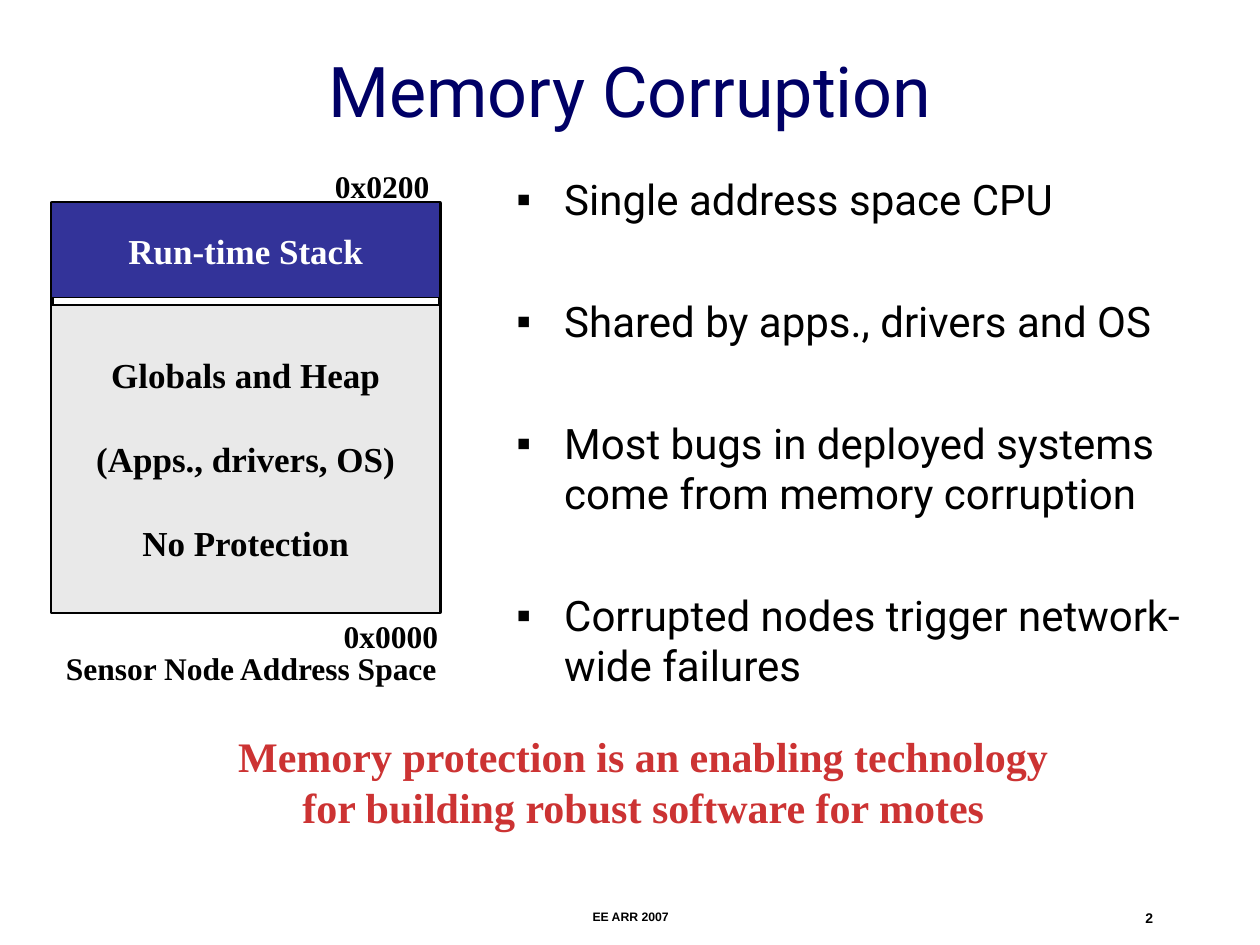
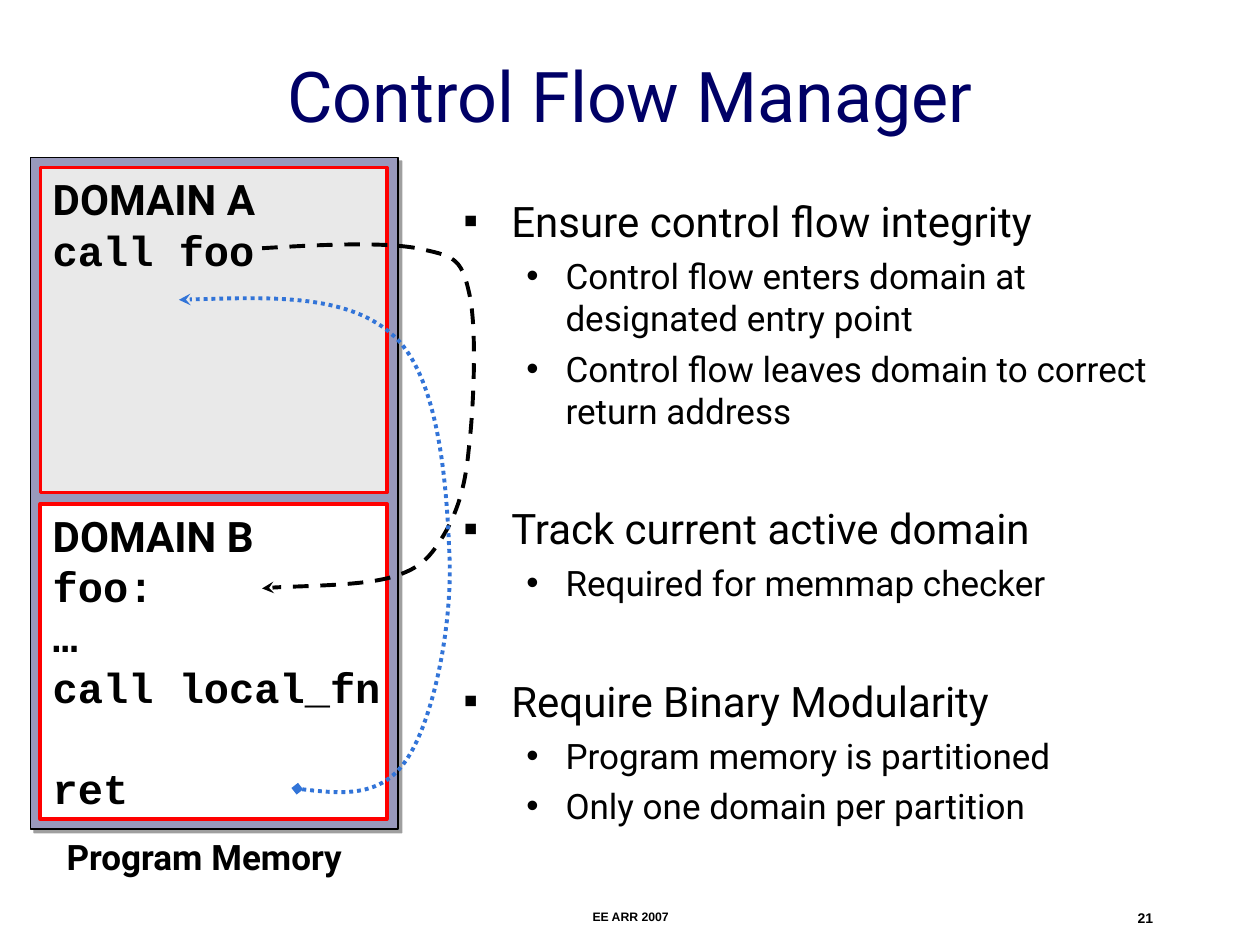
from dataclasses import dataclass

from pptx import Presentation
from pptx.dml.color import RGBColor
from pptx.enum import dml, shapes, text
from pptx.oxml import parse_xml
from pptx.oxml.ns import nsdecls, qn
from pptx import util as u

PX = 9144
LEFT, MID, RIGHT = text.PP_ALIGN.LEFT, text.PP_ALIGN.CENTER, text.PP_ALIGN.RIGHT


@dataclass(frozen=True)
class Type:
    font: str
    size: int
    color: str = "000000"
    bold: bool = False


class Theme:
    black, white, gray = "000000", "FFFFFF", "E9E9E9"
    blue, frame, shade = "333399", "9999BC", "808080"
    red, sky = "FF0000", "3274D8"
    title = Type("Roboto", 40, "000066")
    point = Type("Roboto", 24)
    sub = Type("Roboto", 20)
    block = Type("Times New Roman", 20, black, True)
    stack = Type("Times New Roman", 20, white, True)
    label = Type("Times New Roman", 18, black, True)
    claim = Type("Times New Roman", 24, "CC3333", True)
    head = Type("Roboto", 24, black, True)
    code = Type("Courier New", 24, black, True)
    name = Type("Roboto", 20, black, True)
    foot = Type("Arial", 7, black, True)
    page = Type("Arial", 8, black, True)
    leading = 1.2
    bullets = {point: ("▪", 38, 38, 6), sub: ("•", 81, 31, 5)}


FOOTER = "EE ARR 2007"

CORRUPT = {
    "title": "Memory Corruption", "page": "2",
    "head": (75, 25, 850, 92), "body": (400, 133, 567, 425),
    "points": [
        ("Single address space CPU", []),
        ("Shared by apps., drivers and OS", []),
        ("Most bugs in deployed systems come from memory corruption", []),
        ("Corrupted nodes trigger network-wide failures", []),
    ],
}
FLOW = {
    "title": "Control Flow Manager", "page": "21",
    "head": (75, 25, 850, 100), "body": (358, 150, 608, 533),
    "points": [
        ("Ensure control flow integrity", [
            "Control flow enters domain at designated entry point",
            "Control flow leaves domain to correct return address"]),
        ("Track current active domain", ["Required for memmap checker"]),
        ("Require Binary Modularity", [
            "Program memory is partitioned", "Only one domain per partition"]),
    ],
}
HEAP = ["Globals and Heap", "(Apps., drivers, OS)", "No Protection"]
CLAIM = ["Memory protection is an enabling technology",
         "for building robust software for motes"]
LABELS = [
    ("Sensor Node Address Space", (8, 510, 383, 40), MID),
    ("0x0000", (263, 485, 106, 40), LEFT),
    ("0x0200", (256, 128, 106, 40), LEFT),
]
DOMAINS = [
    ("DOMAIN A", ["call foo"], (32, 133, 275, 258), Theme.gray, 2),
    ("DOMAIN B", ["foo:", "…", "call local_fn", "", "ret"],
     (32, 400, 275, 250), Theme.white, 2.25),
]
CALL = [(208, 197), (256, 194), (304, 192), (331, 197), (359, 203), (366, 204),
        (372, 231), (379, 258), (376, 325), (372, 357), (369, 389), (362, 408),
        (352, 425), (342, 441), (335, 451), (311, 458), (287, 465), (225, 465),
        (208, 467)]
BACK = [(236, 626), (269, 630), (302, 633), (322, 604), (343, 574), (358, 503),
        (357, 447), (355, 391), (350, 303), (314, 268), (278, 233), (210, 236),
        (142, 238)]


def rgb(code):
    """Turn a hex code into a colour."""
    return RGBColor.from_string(code)


def skip(kind):
    """Give the height in points of one empty line."""
    return kind.size * Theme.leading


def mark(para, sign, left, hang):
    """Give a paragraph a hanging bullet."""
    props = para._p.get_or_add_pPr()
    props.set("marL", str(left * PX))
    props.set("indent", str(-hang * PX))
    for xml in (f'<a:buClr {nsdecls("a")}><a:srgbClr val="{Theme.black}"/></a:buClr>',
                f'<a:buFont {nsdecls("a")} typeface="Arial"/>',
                f'<a:buChar {nsdecls("a")} char="{sign}"/>'):
        props.append(parse_xml(xml))


def write(shape, lines, align=LEFT, anchor=text.MSO_ANCHOR.TOP, wrap=True):
    """Fill a shape with (words, type, space before) lines."""
    frame = shape.text_frame
    frame.text = "\n".join(words for words, _, _ in lines)
    frame.word_wrap, frame.vertical_anchor = wrap, anchor
    for para, (_, kind, gap) in zip(frame.paragraphs, lines):
        para.alignment = align
        para.line_spacing = u.Pt(skip(kind))
        para.space_before = u.Pt(gap)
        if kind in Theme.bullets:
            mark(para, *Theme.bullets[kind][:3])
        for run in para.runs:
            font = run.font
            font.name, font.size, font.bold = kind.font, u.Pt(kind.size), kind.bold
            font.color.rgb = rgb(kind.color)


def note(slide, box, lines, *args, **opts):
    """Add a text box."""
    write(slide.shapes.add_textbox(*(n * PX for n in box)), lines, *args, **opts)


def rect(slide, box, fill=None, line=Theme.black, width=0.75):
    """Add an outlined rectangle."""
    shape = slide.shapes.add_shape(
        shapes.MSO_SHAPE.RECTANGLE, *(n * PX for n in box))
    shape.shadow.inherit = False
    if fill:
        shape.fill.solid()
        shape.fill.fore_color.rgb = rgb(fill)
    else:
        shape.fill.background()
    shape.line.color.rgb, shape.line.width = rgb(line), u.Pt(width)
    return shape


def cast(shape):
    """Give a shape a hard drop shadow."""
    effects = shape._element.spPr.find(qn("a:effectLst"))
    effects.append(parse_xml(
        f'<a:outerShdw {nsdecls("a")} blurRad="0" dist="{u.Pt(3)}" dir="2700000">'
        f'<a:srgbClr val="{Theme.shade}"><a:alpha val="75000"/></a:srgbClr>'
        '</a:outerShdw>'))


def curve(slide, dots, color, dash, **ends):
    """Draw a dashed chain of cubic curves with end marks."""
    pen = slide.shapes.build_freeform(*dots[0], scale=PX)
    pen.add_line_segments(dots[1:], close=False)
    shape = pen.convert_to_shape()
    shape.shadow.inherit = False
    shape.fill.background()
    line = shape.line
    line.color.rgb, line.width, line.dash_style = rgb(color), u.Pt(2.25), dash
    for end, kind in ends.items():
        line._ln.append(parse_xml(f'<a:{end}End {nsdecls("a")} type="{kind}"/>'))
    track = shape._element.xpath(".//a:path")[0]
    steps = track.findall(qn("a:lnTo"))
    for i in range(0, len(steps), 3):
        bend = parse_xml(f'<a:cubicBezTo {nsdecls("a")}/>')
        for step in steps[i:i + 3]:
            bend.append(step[0])
            track.remove(step)
        track.append(bend)


def outline(slide, points):
    """List the bullet lines, with an empty line's room between groups."""
    lines = []
    for words, subs in points:
        gap = skip(Theme.point) + 2 * Theme.bullets[Theme.point][3] if lines else 0
        lines.append((words, Theme.point, gap))
        lines += [(sub, Theme.sub, Theme.bullets[Theme.sub][3]) for sub in subs]
    return lines


def start(deck, data):
    """Add a slide with title and footer."""
    slide = deck.slides.add_slide(deck.slide_layouts[6])
    note(slide, data["head"], [(data["title"], Theme.title, 0)], MID,
         text.MSO_ANCHOR.MIDDLE)
    note(slide, (342, 717, 317, 17), [(FOOTER, Theme.foot, 0)], MID)
    note(slide, (717, 717, 208, 17), [(data["page"], Theme.page, 0)], RIGHT)
    return slide


def corrupt(deck):
    """Build the address space slide."""
    slide = start(deck, CORRUPT)
    rect(slide, (41, 161, 308, 325), width=2.25)
    heap = [(words, Theme.block, skip(Theme.block) if i else 0)
            for i, words in enumerate(HEAP)]
    for box, fill, lines in (
            ((41, 161, 308, 75), Theme.blue, [("Run-time Stack", Theme.stack, 0)]),
            ((41, 242, 308, 244), Theme.gray, heap)):
        write(rect(slide, box, fill), lines, MID, text.MSO_ANCHOR.MIDDLE, False)
    for words, box, align in LABELS:
        note(slide, box, [(words, Theme.label, 0)], align, wrap=align == MID)
    note(slide, CORRUPT["body"], outline(slide, CORRUPT["points"]))
    note(slide, (121, 575, 779, 90), [(words, Theme.claim, 0) for words in CLAIM],
         MID, wrap=False)


def flow(deck):
    """Build the control flow slide."""
    slide = start(deck, FLOW)
    cast(rect(slide, (24, 125, 292, 533), Theme.frame))
    note(slide, (43, 658, 264, 44), [("Program Memory", Theme.name, 0)], wrap=False)
    for head, code, box, fill, width in DOMAINS:
        lines, gap = [(head, Theme.head, 0)], 0
        for words in code:
            if words:
                lines.append((words, Theme.code, gap))
            gap = 0 if words else skip(Theme.code)
        write(rect(slide, box, fill, Theme.red, width), lines, wrap=False)
    curve(slide, CALL, Theme.black, dml.MSO_LINE.DASH, tail="stealth")
    curve(slide, BACK, Theme.sky, dml.MSO_LINE.ROUND_DOT,
          head="diamond", tail="stealth")
    note(slide, FLOW["body"], outline(slide, FLOW["points"]))


def main():
    """Build and save the deck."""
    deck = Presentation()
    deck.slide_width, deck.slide_height = 1000 * PX, 750 * PX
    corrupt(deck)
    flow(deck)
    deck.save("out.pptx")


if __name__ == "__main__":
    main()
